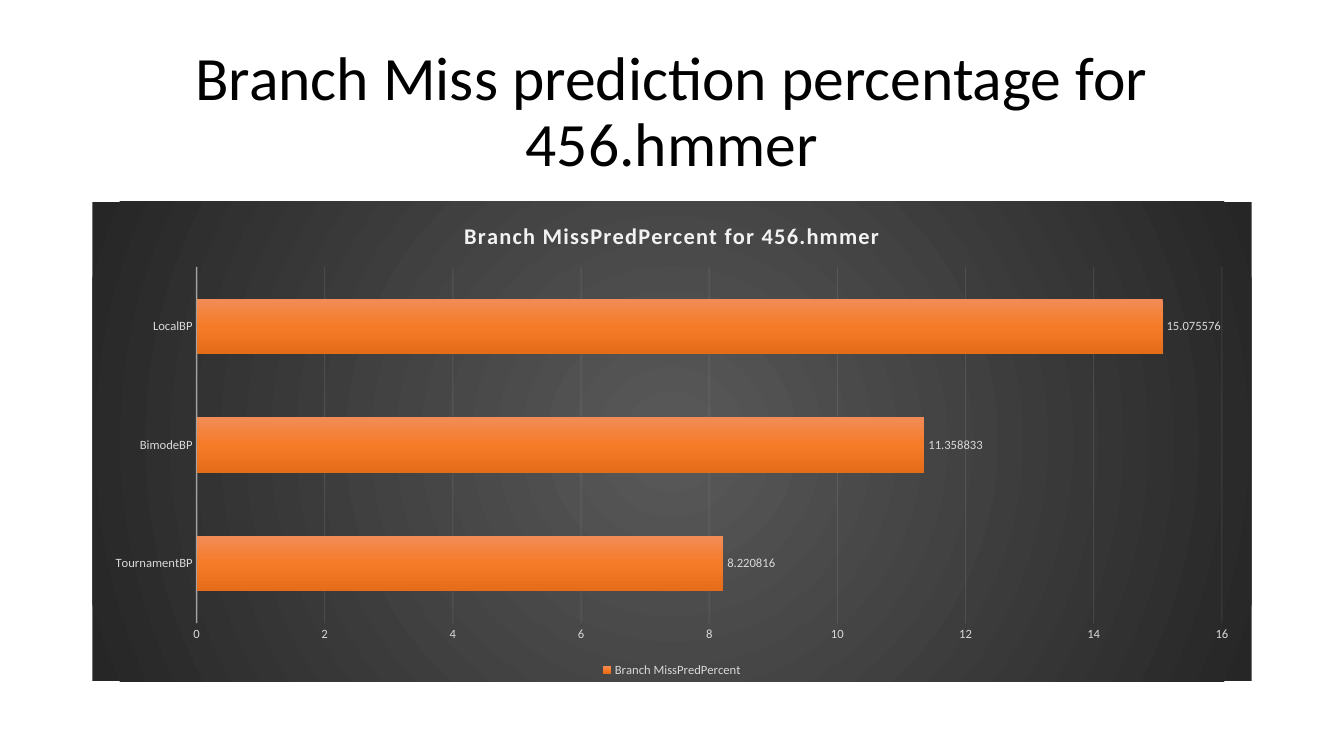
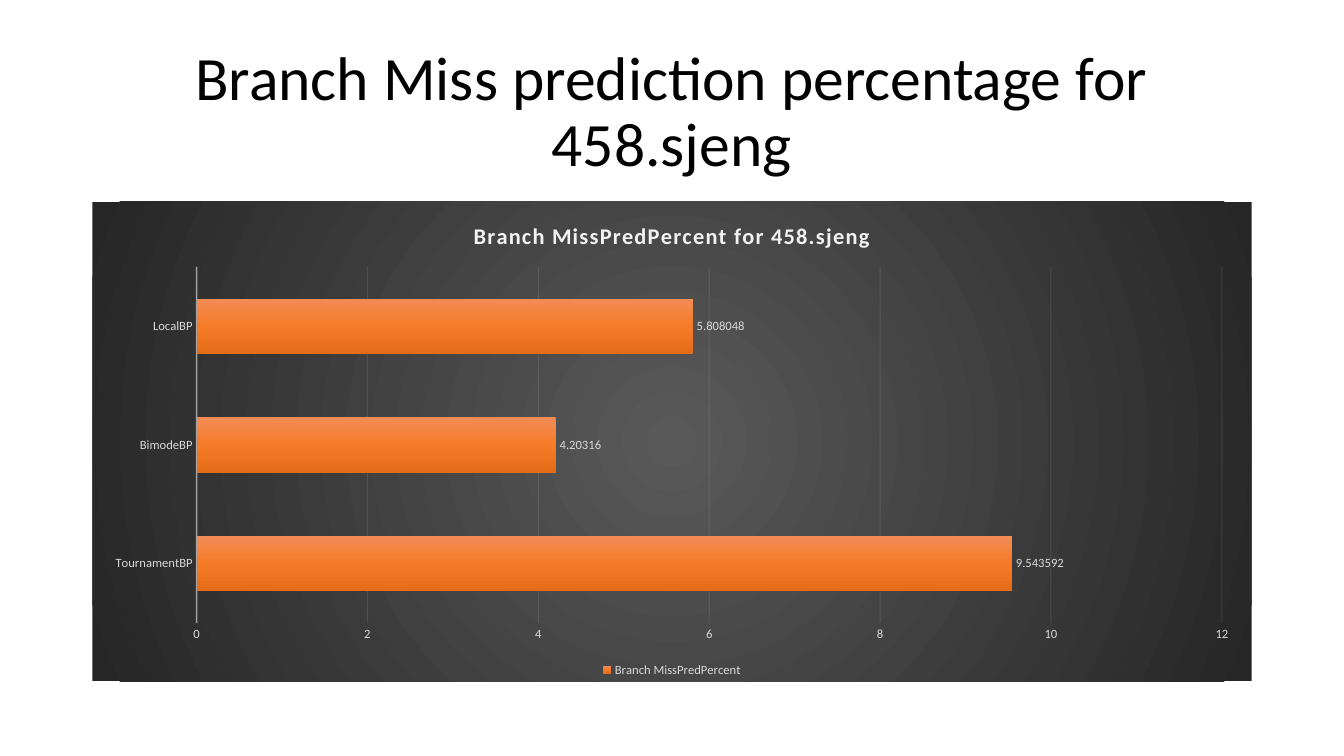
from dataclasses import dataclass

from pptx import Presentation
from pptx.chart.data import CategoryChartData as ChartData
from pptx.dml.color import RGBColor as Color
from pptx.enum.chart import XL_CHART_TYPE as ChartType
from pptx.enum.chart import XL_LABEL_POSITION as LabelPosition
from pptx.enum.chart import XL_LEGEND_POSITION as LegendPosition
from pptx.enum.chart import XL_TICK_MARK as TickMark
from pptx.enum.text import MSO_ANCHOR as Anchor
from pptx.enum.text import PP_ALIGN as Align
from pptx.oxml import parse_xml
from pptx.oxml.ns import nsdecls, qn
from pptx.util import Pt


@dataclass(frozen=True)
class Theme:
    """Colours, fonts and type sizes shared by the slides."""
    font: str = "Calibri"
    ink: str = "000000"
    heading: str = "F2F2F2"
    label: str = "D9D9D9"
    rule: str = "F2F2F2"
    panel: tuple = ((0, "595959"), (100, "262626"))
    bar: tuple = ((0, "F18C57"), (50, "F67B28"), (100, "E56C19"))
    title_size: int = 44
    heading_size: int = 16
    base_size: int = 10
    label_size: int = 9


PREDICTORS = ("TournamentBP", "BimodeBP", "LocalBP")
MEASURE = "Branch MissPredPercent"
RESULTS = {
    "456.hmmer": (8.220816, 11.358833, 15.075576),
    "458.sjeng": (9.543592, 4.20316, 5.808048),
}
LINEAR = '<a:lin ang="5400000" scaled="0"/>'
RADIAL = (
    '<a:path path="circle">'
    '<a:fillToRect l="50000" t="50000" r="50000" b="50000"/></a:path>'
)


def apply(target, values):
    """Set each named attribute on the target."""
    for name, value in values.items():
        setattr(target, name, value)


def gradient(stops, direction):
    """Return a gradient fill element."""
    marks = "".join(
        f'<a:gs pos="{place * 1000}"><a:srgbClr val="{colour}"/></a:gs>'
        for place, colour in stops
    )
    return parse_xml(
        f'<a:gradFill {nsdecls("a")} rotWithShape="1">'
        f"<a:gsLst>{marks}</a:gsLst>{direction}</a:gradFill>"
    )


class SlideBuilder:
    """Holds the deck, its theme and the current page."""

    left, width = Pt(66), Pt(828)

    def __init__(self, theme):
        """Start a widescreen deck."""
        self.theme = theme
        self.deck = Presentation()
        apply(self.deck, {"slide_width": Pt(960), "slide_height": Pt(540)})
        self.page = None

    def add_page(self):
        """Add a blank page and make it current."""
        self.page = self.deck.slides.add_slide(self.deck.slide_layouts[6])

    def style_font(self, font, size, colour, bold=False):
        """Give a font the theme face with a size and colour."""
        apply(font, {"name": self.theme.font, "size": Pt(size), "bold": bold})
        font.color.rgb = Color.from_string(colour)

    def style_line(self, style, width, opacity):
        """Draw a translucent rule on an axis or its gridlines."""
        style.line.width = Pt(width)
        style.line.color.rgb = Color.from_string(self.theme.rule)
        colour = style.element.find(f'{qn("c:spPr")}//{qn("a:srgbClr")}')
        alpha = f'<a:alpha {nsdecls("a")} val="{opacity * 1000}"/>'
        colour.append(parse_xml(alpha))

    def add_title(self, text):
        """Place the centred page title."""
        box = self.page.shapes.add_textbox(
            self.left, Pt(28.8), self.width, Pt(104.4)
        )
        apply(box.text_frame,
              {"word_wrap": True, "vertical_anchor": Anchor.MIDDLE})
        para = box.text_frame.paragraphs[0]
        apply(para, {"alignment": Align.CENTER, "line_spacing": 0.9})
        span = para.add_run()
        span.text = text
        self.style_font(span.font, self.theme.title_size, self.theme.ink)

    def add_bar_chart(self, heading, categories, measure, values):
        """Place a bar chart on its dark panel."""
        data = ChartData()
        data.categories = categories
        data.add_series(measure, values)
        chart = self.page.shapes.add_chart(
            ChartType.BAR_CLUSTERED, self.left, Pt(144),
            self.width, Pt(342.7), data
        ).chart
        self.style_font(chart.font, self.theme.base_size, self.theme.ink)
        self.fill_panel(chart)
        self.add_heading(chart, heading)
        self.style_axes(chart)
        self.style_bars(chart.plots[0])
        chart.has_legend = True
        apply(chart.legend, {"position": LegendPosition.BOTTOM,
                             "include_in_layout": False})
        self.style_font(chart.legend.font, self.theme.label_size,
                        self.theme.label)

    def fill_panel(self, chart):
        """Fill the chart background with a radial gradient."""
        panel = parse_xml(
            f'<c:spPr {nsdecls("c", "a")}><a:ln><a:noFill/></a:ln></c:spPr>'
        )
        panel.insert(0, gradient(self.theme.panel, RADIAL))
        chart.element.find(qn("c:chart")).addnext(panel)

    def add_heading(self, chart, text):
        """Set the spaced heading inside the chart."""
        chart.has_title = True
        chart.chart_title.include_in_layout = False
        span = chart.chart_title.text_frame.paragraphs[0].add_run()
        span.text = text
        self.style_font(span.font, self.theme.heading_size,
                        self.theme.heading, True)
        chart.element.find(f'.//{qn("c:title")}//{qn("a:rPr")}').set(
            "spc", "100"
        )

    def style_axes(self, chart):
        """Style both axes and the vertical gridlines."""
        for axis in (chart.category_axis, chart.value_axis):
            apply(axis, {"major_tick_mark": TickMark.NONE,
                         "minor_tick_mark": TickMark.NONE})
            self.style_font(axis.tick_labels.font, self.theme.label_size,
                            self.theme.label)
        self.style_line(chart.category_axis.format, 1, 54)
        chart.value_axis.format.line.fill.background()
        chart.value_axis.has_major_gridlines = True
        self.style_line(chart.value_axis.major_gridlines.format, 0.75, 10)

    def style_bars(self, plot):
        """Fill the bars and label their values."""
        apply(plot, {"gap_width": 115, "overlap": -20,
                     "vary_by_categories": False})
        series = plot.series[0]
        series.format.fill.solid()
        shape = series.format.element.find(qn("c:spPr"))
        shape.replace(shape[0], gradient(self.theme.bar, LINEAR))
        labels = series.data_labels
        apply(labels, {"show_value": True,
                       "position": LabelPosition.OUTSIDE_END})
        self.style_font(labels.font, self.theme.label_size, self.theme.label)


def main():
    """Build one page for each benchmark."""
    builder = SlideBuilder(Theme())
    for benchmark, values in RESULTS.items():
        builder.add_page()
        builder.add_title(f"Branch Miss prediction percentage for {benchmark}")
        builder.add_bar_chart(f"{MEASURE} for {benchmark}", PREDICTORS,
                              MEASURE, values)
    builder.deck.save("out.pptx")


if __name__ == "__main__":
    main()
